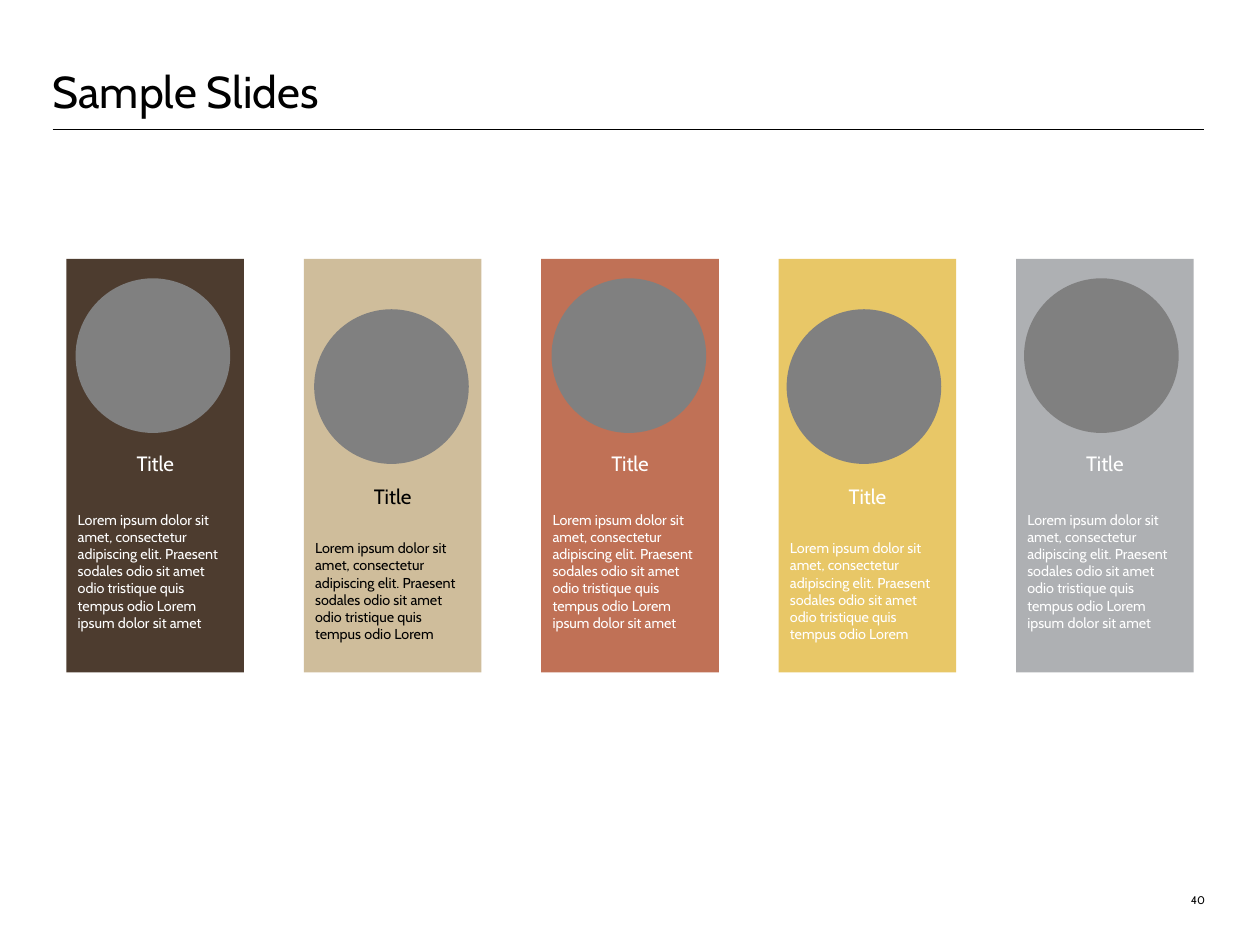
"""Build the sample slide with five colour cards."""
from lxml import etree
from pptx import Presentation
from pptx.dml.color import RGBColor
from pptx.enum.shapes import MSO_CONNECTOR as Link, MSO_SHAPE as Kind
from pptx.enum.text import MSO_ANCHOR as Anchor, MSO_AUTO_SIZE as Fit, PP_ALIGN as Align
from pptx.oxml.ns import qn
from pptx.util import Inches, Pt


def tint(code):
    """Return the colour for a hex string."""
    return RGBColor.from_string(code)


def write(shape, text, size, code, align=Align.LEFT, anchor=Anchor.TOP, pad=(0, 0)):
    """Put one run of text into a shape and return its paragraph."""
    frame = shape.text_frame
    frame.word_wrap = True
    frame.auto_size = Fit.NONE
    frame.vertical_anchor = anchor
    frame.margin_left = frame.margin_right = Inches(pad[0])
    frame.margin_top = frame.margin_bottom = Inches(pad[1])
    para = frame.paragraphs[0]
    para.alignment = align
    run = para.add_run()
    run.text = text
    run.font.name = "Cabin"
    run.font.size = Pt(size)
    run.font.color.rgb = tint(code)
    return para


deck = Presentation()
deck.slide_width = Inches(11)
deck.slide_height = Inches(8.25)
slide = deck.slides.add_slide(deck.slide_layouts[5])

rule = slide.shapes.add_connector(
    Link.STRAIGHT, Inches(0.46), Inches(1.13), Inches(10.51), Inches(1.13))
rule.line.color.rgb = tint("000000")
rule.line.width = Pt(0.75)
etree.SubElement(rule.element.spPr, qn("a:effectLst"))

number = slide.shapes.add_textbox(Inches(10.07), Inches(7.5), Inches(0.45), Inches(0.42))
write(number, "40", 7, "000000", Align.RIGHT, Anchor.BOTTOM)

title = slide.shapes.title
title.left, title.top = Inches(0.46), Inches(0)
title.width, title.height = Inches(10.05), Inches(1.03)
write(title, "Sample Slides", 28, "000000", anchor=Anchor.BOTTOM).line_spacing = Pt(32)

short = ("Lorem ipsum dolor sit amet, consectetur adipiscing elit. Praesent "
         "sodales odio sit amet odio tristique quis tempus odio Lorem")
full = short + " ipsum dolor sit amet"
high = (2.43, 3.89, 4.41, 1.16, full)
low = (2.7, 4.17, 4.66, 1.01, short)
cards = [
    ("4D3C2F", "FFFFFF", 0.08, high),
    ("CFBD9B", "000000", 0.09, low),
    ("C07156", "FFFFFF", 0.09, high),
    ("E8C767", "FFFFFF", 0.07, low),
    ("AEB0B3", "FFFFFF", 0.07, high),
]
for i, (fill, ink, inset, (disc_y, head_y, body_y, body_h, text)) in enumerate(cards):
    left = 0.58 + i * (8.87 - 0.58) / 4
    group = slide.shapes.add_group_shape().shapes
    for kind, x, y, width, height, code in (
            (Kind.RECTANGLE, left, 2.26, 1.55, 3.61, fill),
            (Kind.OVAL, left + inset, disc_y, 1.35, 1.35, "808080")):
        shape = group.add_shape(kind, Inches(x), Inches(y), Inches(width), Inches(height))
        shape.shadow.inherit = False
        shape.fill.solid()
        shape.fill.fore_color.rgb = tint(code)
        shape.line.fill.background()
    for words, y, height, size, align in (
            (text, body_y, body_h, 9, Align.LEFT),
            ("Title", head_y, 0.32, 13, Align.CENTER)):
        box = group.add_textbox(Inches(left), Inches(y), Inches(1.55), Inches(height))
        write(box, words, size, ink, align, pad=(0.1, 0.05))

deck.save("out.pptx")
